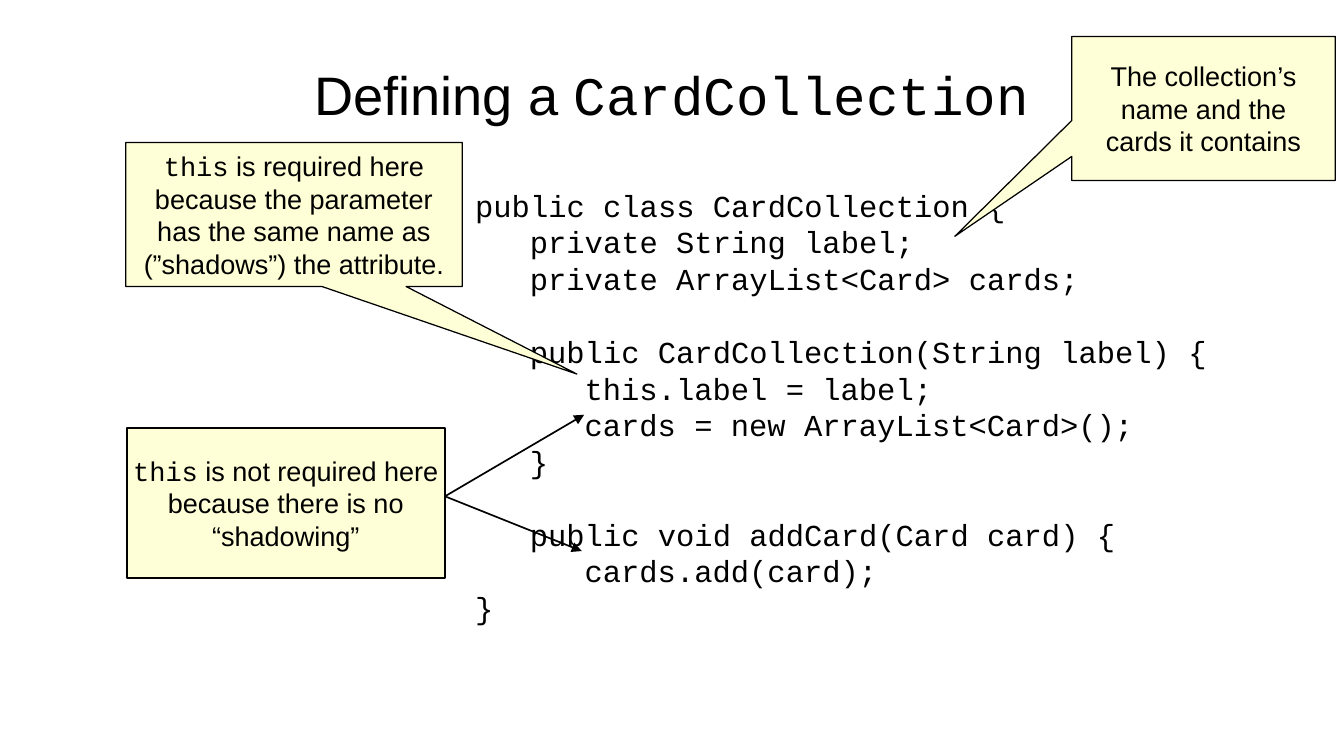
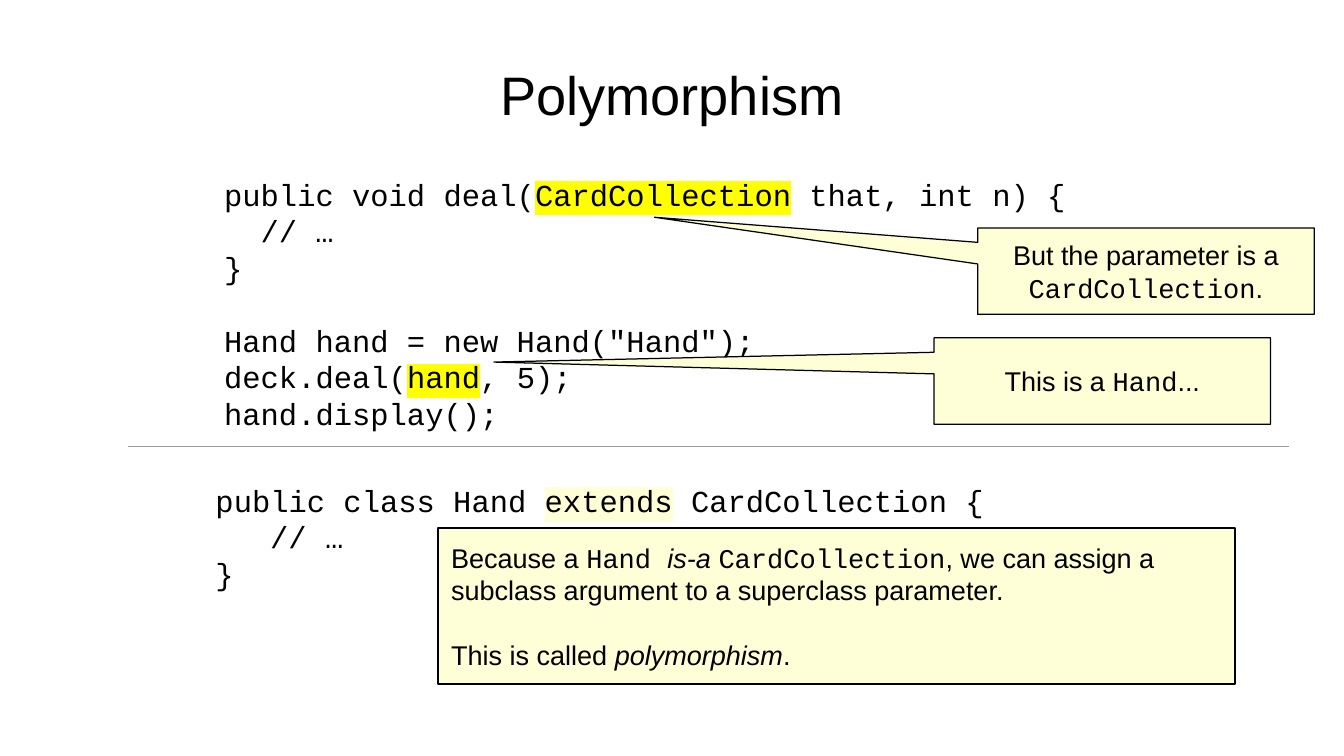
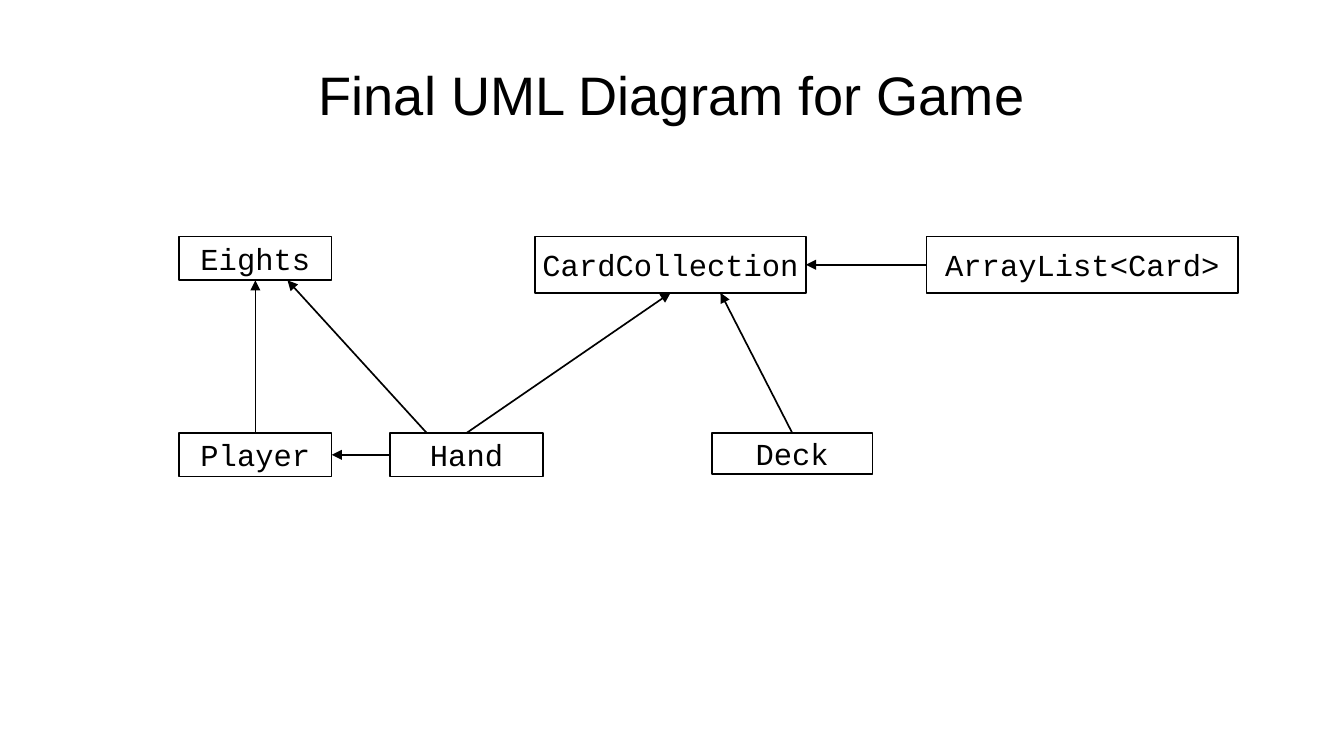
from dataclasses import dataclass
from functools import partial
from typing import NamedTuple, Optional, Union

from lxml.etree import SubElement
from pptx import Presentation
from pptx.dml.color import RGBColor
from pptx.enum.shapes import MSO_CONNECTOR, MSO_SHAPE
from pptx.enum.text import MSO_ANCHOR, PP_ALIGN
from pptx.oxml import parse_xml
from pptx.oxml.ns import nsdecls, qn
from pptx.shapes.autoshape import Shape
from pptx.slide import Slide
from pptx.text.text import TextFrame
from pptx.util import Cm, Pt

BLACK = "000000"
WHITE = "FFFFFF"
GREY = "999999"
CREAM = "FFFFD7"
YELLOW = "FFFF00"
SANS = "Arial"
MONO = "Courier New"
TITLE_SIZE, CODE_SIZE, NOTE_SIZE = 32, 18, 16
LEADING = 1.2
CODE_CHAR = 0.38
TOP, LEFT, BOTTOM, RIGHT = range(4)


class Box(NamedTuple):
    left: float
    top: float
    width: float
    height: float


class Point(NamedTuple):
    x: float
    y: float


class Joint(NamedTuple):
    shape: Shape
    site: int


End = Union[Point, Joint]


@dataclass
class Run:
    text: str
    font: str = SANS
    italic: bool = False
    highlight: Optional[str] = None


@dataclass
class Line:
    runs: list[Run]
    indent: int = 0
    gap: bool = False


@dataclass
class Note:
    box: Box
    lines: list[Line]
    tip: Optional[tuple[float, float]] = None
    align: PP_ALIGN = PP_ALIGN.CENTER


mono = partial(Run, font=MONO)


def rgb(value: str) -> RGBColor:
    return RGBColor.from_string(value)


def say(*runs: Run) -> Line:
    return Line(list(runs))


def code(*parts: Union[str, Run], indent: int = 0, gap: bool = False) -> Line:
    runs = [mono(part) if isinstance(part, str) else part for part in parts]
    return Line(runs, indent, gap)


def place(box: Box) -> list[Cm]:
    return [Cm(value) for value in box]


def write(tf: TextFrame, lines: list[Line], size: int, align: PP_ALIGN,
          inset: tuple[float, float], wrap: bool = True,
          anchor: MSO_ANCHOR = MSO_ANCHOR.MIDDLE) -> None:
    tf.word_wrap = wrap
    tf.vertical_anchor = anchor
    tf.margin_left = tf.margin_right = Cm(inset[0])
    tf.margin_top = tf.margin_bottom = Cm(inset[1])
    for number, line in enumerate(lines):
        p = tf.add_paragraph() if number else tf.paragraphs[0]
        p.alignment = align
        p.line_spacing = Pt(size * LEADING)
        if line.gap:
            p.space_before = Pt(size * LEADING)
        if line.indent:
            p._p.get_or_add_pPr().set("marL", str(int(Cm(line.indent * CODE_CHAR))))
        for run in line.runs:
            r = p.add_run()
            r.text = run.text
            r.font.size = Pt(size)
            r.font.italic = run.italic
            r.font.color.rgb = rgb(BLACK)
            if run.highlight:
                mark = parse_xml(f'<a:highlight {nsdecls("a")}>'
                                 f'<a:srgbClr val="{run.highlight}"/></a:highlight>')
                r.font.fill._xPr.find(qn("a:solidFill")).addnext(mark)
            r.font.name = run.font


def add_slide(prs: Presentation, *title: Run) -> Slide:
    s = prs.slides.add_slide(prs.slide_layouts[6])
    sp = s.shapes.add_textbox(*place(Box(1.4, 0.64, 25.2, 2.64)))
    write(sp.text_frame, [say(*title)], TITLE_SIZE, PP_ALIGN.CENTER, (0, 0))
    return s


def add_code(s: Slide, box: Box, lines: list[Line]) -> None:
    sp = s.shapes.add_textbox(*place(box))
    write(sp.text_frame, lines, CODE_SIZE, PP_ALIGN.LEFT, (0.25, 0.13),
          anchor=MSO_ANCHOR.TOP)


def add_panel(s: Slide, note: Note, fill: str = CREAM, size: int = NOTE_SIZE) -> Shape:
    kind = MSO_SHAPE.RECTANGULAR_CALLOUT if note.tip else MSO_SHAPE.RECTANGLE
    sp = s.shapes.add_shape(kind, *place(note.box))
    sp.shadow.inherit = False
    sp.fill.solid()
    sp.fill.fore_color.rgb = rgb(fill)
    sp.line.color.rgb = rgb(BLACK)
    sp.line.width = Pt(0 if note.tip else 1)
    if note.tip:
        sp.adjustments[0], sp.adjustments[1] = note.tip
    inset = (0.25, 0.13) if note.tip else (0.28, 0.15)
    write(sp.text_frame, note.lines, size, note.align, inset,
          wrap=note.align == PP_ALIGN.LEFT)
    return sp


def add_line(s: Slide, start: End, end: End, color: str = BLACK,
             arrow: bool = True) -> None:
    corners = [Cm(v) for e in (start, end)
               for v in (e if isinstance(e, Point) else (0, 0))]
    cxn = s.shapes.add_connector(MSO_CONNECTOR.STRAIGHT, *corners)
    if isinstance(start, Joint):
        cxn.begin_connect(*start)
    if isinstance(end, Joint):
        cxn.end_connect(*end)
    cxn.line.color.rgb = rgb(color)
    cxn.line.width = Pt(1)
    if arrow:
        SubElement(cxn.line._get_or_add_ln(), qn("a:tailEnd"), type="triangle")
    SubElement(cxn._element.spPr, qn("a:effectLst"))


def defining_slide(prs: Presentation) -> None:
    s = add_slide(prs, Run("Defining a "), mono("CardCollection"))
    add_code(s, Box(9.65, 3.76, 15.75, 9.6), [
        code("public class CardCollection {"),
        code("private String label;", indent=3),
        code("private ArrayList<Card> cards;", indent=3),
        code("public CardCollection(String label) {", indent=3, gap=True),
        code("this.label = label;", indent=6),
        code("cards = new ArrayList<Card>();", indent=6),
        code("}", indent=3),
        code("public void addCard(Card card) {", indent=3, gap=True),
        code("cards.add(card);", indent=6),
        code("}"),
    ])
    notes = [
        Note(Box(2.62, 2.97, 7.01, 3), [
            say(mono("this"), Run(" is required here")),
            say(Run("because the parameter")),
            say(Run("has the same name as")),
            say(Run("(”shadows”) the attribute.")),
        ], tip=(0.841, 1.108)),
        Note(Box(2.64, 8.92, 6.63, 3.12), [
            say(mono("this"), Run(" is not required here")),
            say(Run("because there is no")),
            say(Run("“shadowing”")),
        ]),
        Note(Box(22.33, 0.76, 5.49, 3), [
            say(Run("The collection’s")),
            say(Run("name and the")),
            say(Run("cards it contains")),
        ], tip=(-0.944, 0.888)),
    ]
    for note in notes:
        add_panel(s, note)
    for target in (Point(12.17, 8.64), Point(12.12, 11.48)):
        add_line(s, Point(9.27, 10.34), target)


def polymorphism_slide(prs: Presentation) -> None:
    s = add_slide(prs, Run("Polymorphism"))
    add_code(s, Box(4.42, 3.53, 18.03, 5.28), [
        code("public void deal(", mono("CardCollection", highlight=YELLOW),
             " that, int n) {"),
        code("// …", indent=2),
        code("}"),
        code('Hand hand = new Hand("Hand");', gap=True),
        code("deck.deal(", mono("hand", highlight=YELLOW), ", 5);"),
        code("hand.display();"),
    ])
    notes = [
        Note(Box(19.46, 7.04, 7.01, 1.8), [
            say(Run("This is a "), mono("Hand"), Run("...")),
        ], tip=(-1.808, -0.22)),
        Note(Box(20.37, 4.75, 7.01, 1.8), [
            say(Run("But the parameter is a")),
            say(mono("CardCollection"), Run(".")),
        ], tip=(-1.461, -0.624)),
    ]
    for note in notes:
        add_panel(s, note)
    add_line(s, Point(2.67, 9.3), Point(26.85, 9.3), GREY, arrow=False)
    add_code(s, Box(4.24, 9.91, 16.51, 2.41), [
        code("public class Hand ", mono("extends", highlight=CREAM),
             " CardCollection {"),
        code("// …", indent=3),
        code("}"),
    ])
    add_panel(s, Note(Box(9.12, 11, 16.61, 3.25), [
        say(Run("Because a "), mono("Hand "), Run("is-a ", italic=True),
            mono("CardCollection"), Run(", we can assign a")),
        say(Run("subclass argument to a superclass parameter.")),
        Line([Run("This is called "), Run("polymorphism", italic=True), Run(".")],
             gap=True),
    ], align=PP_ALIGN.LEFT))


def uml_slide(prs: Presentation) -> None:
    s = add_slide(prs, Run("Final UML Diagram for Game"))
    upper, lower = 4.93, 9.02
    boxes = {
        "Hand": Box(8.13, lower, 3.18, 0.91),
        "ArrayList<Card>": Box(19.3, upper, 6.5, 1.17),
        "CardCollection": Box(11.15, upper, 5.64, 1.17),
        "Deck": Box(14.83, lower, 3.35, 0.86),
        "Player": Box(3.73, lower, 3.18, 0.91),
        "Eights": Box(3.73, upper, 3.18, 0.91),
    }
    classes = {name: add_panel(s, Note(box, [code(name)]), WHITE, CODE_SIZE)
               for name, box in boxes.items()}

    def joint(name: str, site: int) -> Joint:
        return Joint(classes[name], site)

    arrows: list[tuple[End, End]] = [
        (joint("Hand", TOP), joint("CardCollection", BOTTOM)),
        (joint("Deck", TOP), Point(15.01, 6.1)),
        (joint("ArrayList<Card>", LEFT), joint("CardCollection", RIGHT)),
        (joint("Hand", LEFT), joint("Player", RIGHT)),
        (joint("Player", TOP), joint("Eights", BOTTOM)),
        (Point(8.89, lower), Point(5.99, 5.84)),
    ]
    for start, end in arrows:
        add_line(s, start, end)


def main() -> None:
    prs = Presentation()
    prs.slide_width, prs.slide_height = Cm(28), Cm(15.75)
    for build in (defining_slide, polymorphism_slide, uml_slide):
        build(prs)
    prs.save("out.pptx")


if __name__ == "__main__":
    main()
